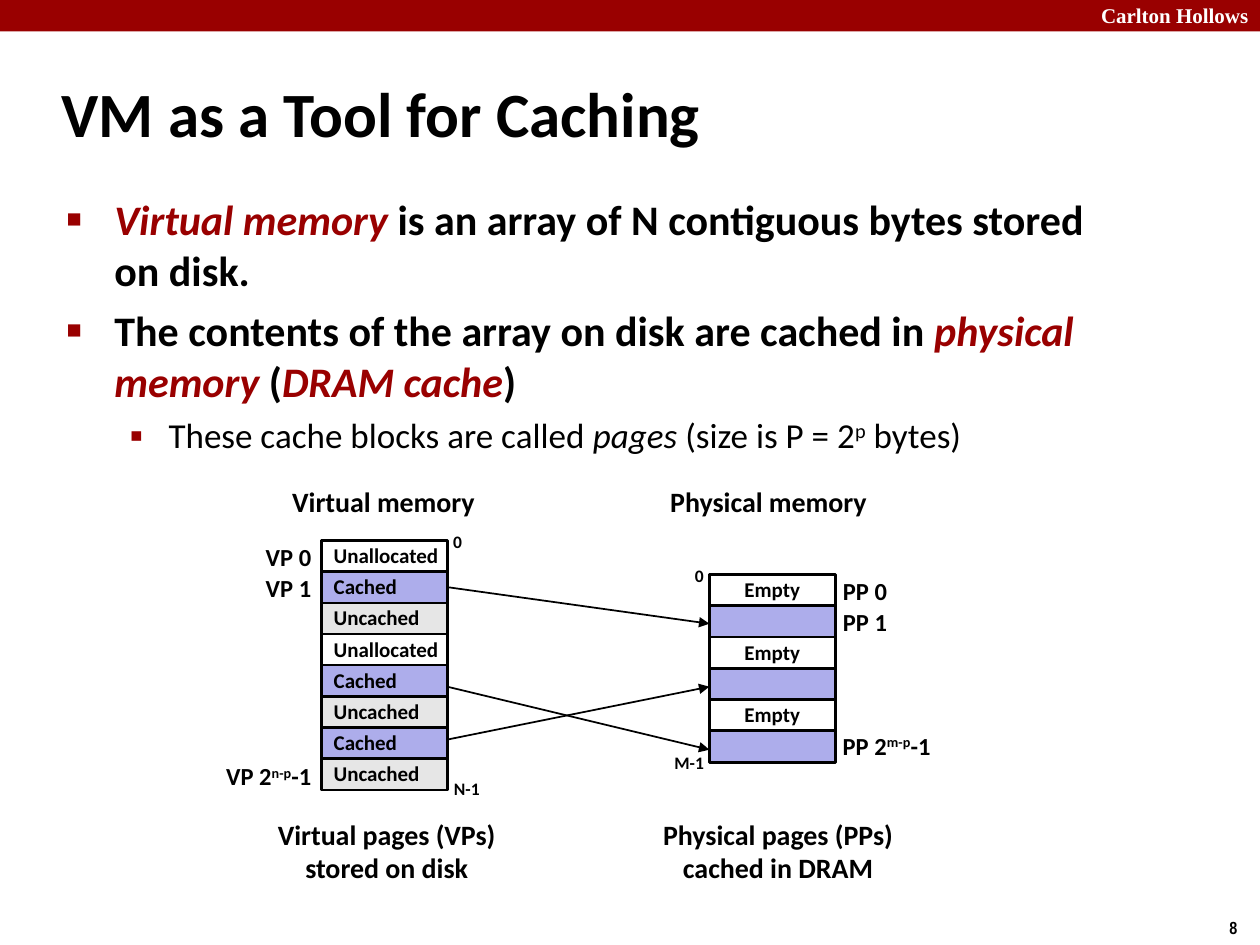
from pptx import Presentation
from pptx.dml.color import RGBColor
from pptx.enum.shapes import MSO_CONNECTOR as Connector, MSO_SHAPE as Shape
from pptx.enum.text import MSO_ANCHOR as Anchor, PP_ALIGN as Align
from pptx.oxml.ns import qn
from pptx.util import Inches, Pt
from lxml.etree import SubElement

BLACK = RGBColor(0x00, 0x00, 0x00)
WHITE = RGBColor(0xFF, 0xFF, 0xFF)
RED = RGBColor(0x99, 0x00, 0x00)
LILAC = RGBColor(0xAD, 0xAD, 0xEB)
GRAY = RGBColor(0xE6, 0xE6, 0xE6)

PAGE_WIDTH, PAGE_HEIGHT = 1, 0.25
VIRTUAL_LEFT, PHYSICAL_LEFT = 2.55, 5.63
PAGE_FILLS = {"Unallocated": WHITE, "Cached": LILAC, "Uncached": GRAY,
              "Empty": WHITE, "": LILAC}
VIRTUAL_PAGES = ["Unallocated", "Cached", "Uncached", "Unallocated",
                 "Cached", "Uncached", "Cached", "Uncached"]
PHYSICAL_PAGES = ["Empty", "", "Empty", "", "Empty", ""]

PLAIN, ITALIC, KEY, SUPER = "plain", "italic", "key", "super"
BULLETS = [
    (0, [("Virtual memory ", KEY),
         ("is an array of N contiguous bytes stored on disk. ", PLAIN)]),
    (0, [("The contents of the array on disk are cached in ", PLAIN),
         ("physical memory", KEY), (" (", PLAIN), ("DRAM cache", KEY), (")", PLAIN)]),
    (1, [("These cache blocks are called ", PLAIN), ("pages ", ITALIC),
         ("(size is P = 2", PLAIN), ("p", SUPER), (" bytes)", PLAIN)]),
]
BULLET_LEVELS = [
    {"size": 24, "bold": True, "margin": 0.38, "hanging": 0.38, "mark": "■", "scale": 60},
    {"size": 20, "bold": False, "margin": 0.81, "hanging": 0.31, "mark": "▪", "scale": 110},
]


def add_runs(paragraph, pieces, size, bold=True, color=BLACK, font="Calibri"):
    for text, style in pieces:
        run = paragraph.add_run()
        run.text = text
        run.font.name = font
        run.font.size = Pt(size)
        run.font.bold = bold
        run.font.italic = style in (ITALIC, KEY)
        run.font.color.rgb = RED if style == KEY else color
        if style == SUPER:
            run.font._element.set("baseline", "30000")


def add_text(slide, box, lines, size, align=Align.LEFT, anchor=Anchor.TOP,
             wrap=False, spacing=None, before=0, **font):
    shape = slide.shapes.add_textbox(*map(Inches, box))
    frame = shape.text_frame
    frame.word_wrap = wrap
    frame.vertical_anchor = anchor
    for index, pieces in enumerate(lines):
        paragraph = frame.add_paragraph() if index else frame.paragraphs[0]
        paragraph.alignment = align
        paragraph.line_spacing = spacing
        paragraph.space_before = Pt(before)
        if isinstance(pieces, str):
            pieces = [(pieces, PLAIN)]
        add_runs(paragraph, pieces, size, **font)
    return shape


def set_indent(paragraph, margin, hanging):
    properties = paragraph._p.get_or_add_pPr()
    properties.set("marL", str(Inches(margin)))
    properties.set("indent", str(-Inches(hanging)))
    return properties


def add_bullets(slide, box):
    frame = slide.shapes.add_textbox(*map(Inches, box)).text_frame
    frame.word_wrap = True
    for index, (number, pieces) in enumerate(BULLETS):
        level = BULLET_LEVELS[number]
        paragraph = frame.add_paragraph() if index else frame.paragraphs[0]
        paragraph.level = number
        paragraph.space_before = Pt(0.24 * level["size"])
        properties = set_indent(paragraph, level["margin"], level["hanging"])
        bullet_color = SubElement(properties, qn("a:buClr"))
        SubElement(bullet_color, qn("a:srgbClr"), val=str(RED))
        SubElement(properties, qn("a:buSzPct"), val=str(level["scale"] * 1000))
        SubElement(properties, qn("a:buFont"), typeface="Arial")
        SubElement(properties, qn("a:buChar"), char=level["mark"])
        add_runs(paragraph, pieces, level["size"], level["bold"])


def add_rectangle(slide, box, fill, outlined=True):
    shape = slide.shapes.add_shape(Shape.RECTANGLE, *map(Inches, box))
    shape.shadow.inherit = False
    shape.fill.solid()
    shape.fill.fore_color.rgb = fill
    if outlined:
        shape.line.color.rgb = BLACK
        shape.line.width = Pt(1.5)
    else:
        shape.line.fill.background()
    return shape


def add_pages(slide, left, first_top, last_top, names, align):
    step = (last_top - first_top) / (len(names) - 1)
    for index, name in enumerate(names):
        box = (left, first_top + index * step, PAGE_WIDTH, PAGE_HEIGHT)
        shape = add_rectangle(slide, box, PAGE_FILLS[name])
        if name:
            frame = shape.text_frame
            frame.word_wrap = False
            frame.vertical_anchor = Anchor.MIDDLE
            paragraph = frame.paragraphs[0]
            paragraph.alignment = align
            paragraph.line_spacing = 0.98
            add_runs(paragraph, [(name, PLAIN)], 12)


def add_arrow(slide, start_y, end_y):
    start_x = VIRTUAL_LEFT + PAGE_WIDTH
    arrow = slide.shapes.add_connector(
        Connector.STRAIGHT, Inches(start_x), Inches(start_y),
        Inches(PHYSICAL_LEFT), Inches(end_y))
    arrow.line.color.rgb = BLACK
    arrow.line.width = Pt(1)
    SubElement(arrow.line._get_or_add_ln(), qn("a:tailEnd"), type="triangle")
    SubElement(arrow._element.spPr, qn("a:effectLst"))


def add_frame(slide):
    add_rectangle(slide, (0, 0, 10, 0.25), RED, outlined=False)
    add_text(slide, (8.64, -0.03, 1.43, 0.3), ["Carlton Hollows"], 12,
             wrap=True, color=WHITE, font="Times New Roman")
    add_text(slide, (9.66, 7.23, 0.34, 0.27), ["8"], 10, font="Arial Narrow")
    title = add_text(slide, (0.39, 0.48, 8.3, 0.83), ["VM as a Tool for Caching"],
                     36, anchor=Anchor.MIDDLE, wrap=True)
    set_indent(title.text_frame.paragraphs[0], 0.13, 0.13)


def add_labels(slide):
    raised = {"spacing": 0.88, "before": 6}
    middle = {"spacing": 0.98, "anchor": Anchor.MIDDLE, "align": Align.CENTER}

    for left, width, text in [(2.21, 1.67, "Virtual memory"),
                              (5.21, 1.78, "Physical memory")]:
        add_text(slide, (left, 3.83, width, 0.33), [text], 16, Align.CENTER, **raised)

    last_virtual = [("VP 2", PLAIN), ("n-p", SUPER), ("-1", PLAIN)]
    for left, top, width, pieces in [(2.01, 4.28, 0.56, "VP 0"), (2.01, 4.53, 0.56, "VP 1"),
                                     (1.67, 6.02, 0.9, last_virtual)]:
        add_text(slide, (left, top, width, 0.31), [pieces], 14, Align.RIGHT, **raised)

    for top, text in [(4.53, "PP 0"), (4.78, "PP 1")]:
        add_text(slide, (6.59, top, 0.55, 0.33), [text], 14, **middle)
    last_physical = [("PP 2", PLAIN), ("m-p", SUPER), ("-1", PLAIN)]
    add_text(slide, (6.59, 5.78, 0.93, 0.31), [last_physical], 14, **raised)

    for left, top, width, text in [(3.49, 4.17, 0.28, "0"), (3.5, 6.13, 0.41, "N-1"),
                                   (5.41, 4.44, 0.28, "0"), (5.25, 5.92, 0.44, "M-1")]:
        add_text(slide, (left, top, width, 0.27), [text], 10, **middle)

    for left, width, lines in [
            (2.09, 1.96, ["Virtual pages (VPs) ", "stored on disk"]),
            (5.15, 2.05, ["Physical pages (PPs) ", "cached in DRAM"])]:
        add_text(slide, (left, 6.45, width, 0.63), lines, 16, **middle)


def main():
    presentation = Presentation()
    presentation.slide_width = Inches(10)
    presentation.slide_height = Inches(7.5)
    slide = presentation.slides.add_slide(presentation.slide_layouts[6])
    add_frame(slide)
    add_bullets(slide, (0.43, 1.49, 8.64, 2.26))
    add_pages(slide, VIRTUAL_LEFT, 4.29, 6.02, VIRTUAL_PAGES, Align.LEFT)
    add_pages(slide, PHYSICAL_LEFT, 4.56, 5.8, PHYSICAL_PAGES, Align.CENTER)
    for start_y, end_y in [(4.66, 4.95), (5.45, 5.95), (5.87, 5.45)]:
        add_arrow(slide, start_y, end_y)
    add_labels(slide)
    presentation.save("out.pptx")


main()
